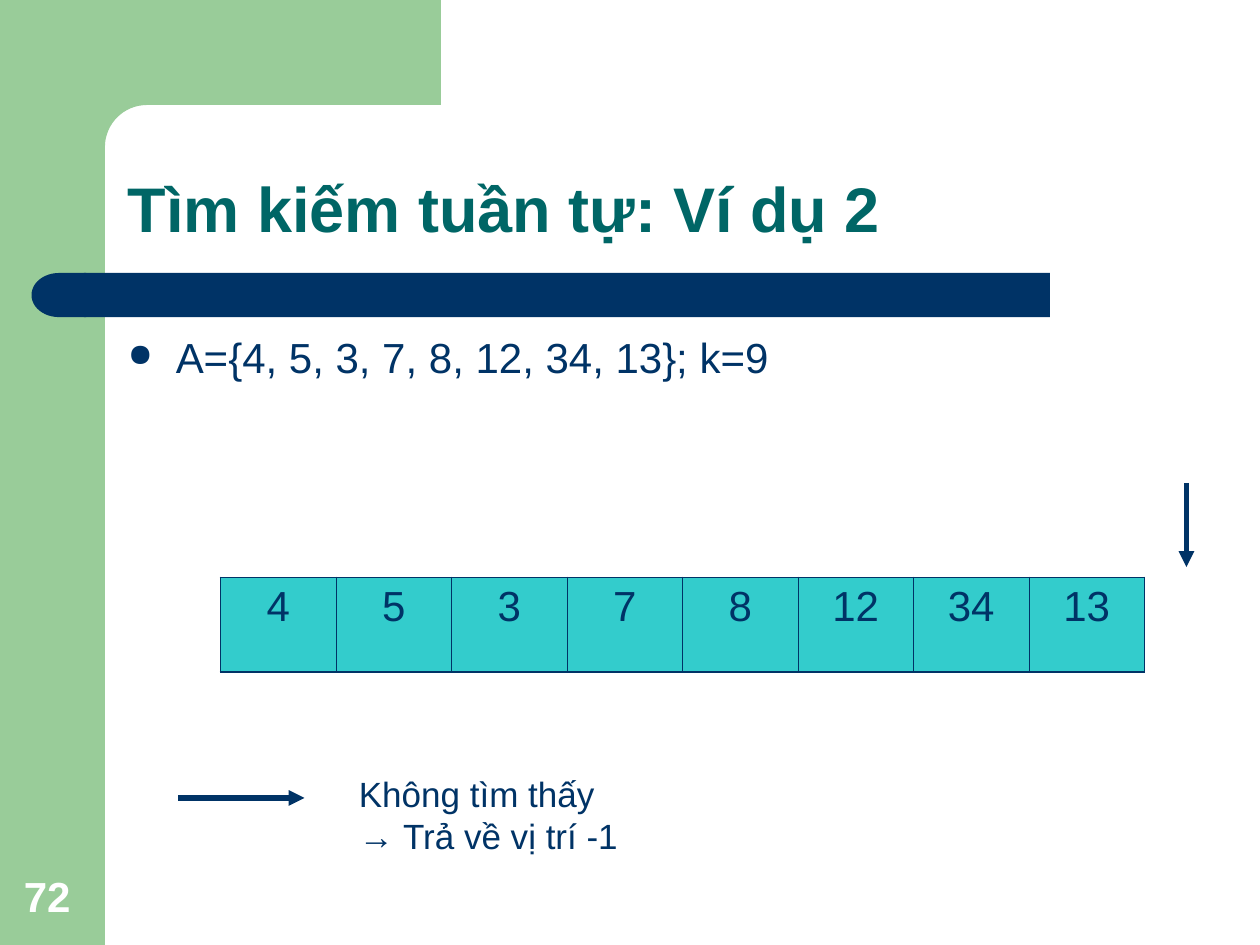
from math import cos, pi, sin

from pptx import Presentation
from pptx.dml.color import RGBColor
from pptx.enum.shapes import MSO_CONNECTOR as CONN, MSO_SHAPE as SHAPE
from pptx.enum.text import MSO_ANCHOR as ANCHOR, PP_ALIGN as ALIGN
from pptx.oxml import parse_xml
from pptx.oxml.ns import nsdecls
from pptx.util import Inches, Pt

GREEN, NAVY, TEAL, CYAN, WHITE = "99CC99", "003366", "006666", "33CCCC", "FFFFFF"
VALUES = [4, 5, 3, 7, 8, 12, 34, 13]


def grid(n):
    """Return the length of n grid units, with 12 units to the inch."""
    return Inches(n / 12)


def rgb(value):
    """Turn a hex string into a colour."""
    return RGBColor.from_string(value)


def xml(tag, attrs="", inner=""):
    """Build one DrawingML element."""
    return parse_xml(f"<a:{tag} {nsdecls('a')} {attrs}>{inner}</a:{tag}>")


def paint(sp, color):
    """Give a shape a flat fill without line or shadow."""
    sp.fill.solid()
    sp.fill.fore_color.rgb = rgb(color)
    sp.line.fill.background()
    sp.shadow.inherit = False


def style(p, size, color, bold=False):
    """Format every run of a paragraph."""
    for r in p.runs:
        r.font.name, r.font.size, r.font.bold = "Arial", Pt(size), bold
        r.font.color.rgb = rgb(color)


def add_block(slide, kind, box, color):
    """Add a plain preset shape."""
    sp = slide.shapes.add_shape(kind, *map(grid, box))
    paint(sp, color)
    return sp


def add_corner(slide, color):
    """Add the top band with its rounded inner corner."""
    turns = [pi / 2 * i / 16 for i in range(17)]
    arc = [(14 - 4 * sin(t), 14 - 4 * cos(t)) for t in turns]
    points = [(42, 0), (42, 10), *arc, (10, 15.3), (6, 15.3), (6, 0)]
    points = [(grid(x), grid(y)) for x, y in points]
    builder = slide.shapes.build_freeform(*points[0])
    builder.add_line_segments(points[1:], close=True)
    paint(builder.convert_to_shape(), color)


def add_text(slide, box, text, size, color, bold=False, anchor=ANCHOR.TOP):
    """Add a wrapped text box and return its paragraph."""
    tf = slide.shapes.add_textbox(*map(grid, box)).text_frame
    tf.word_wrap = True
    tf.vertical_anchor = anchor
    p = tf.paragraphs[0]
    p.text = text
    style(p, size, color, bold)
    return p


def add_bullet(p, color):
    """Give a paragraph a hanging round bullet."""
    pPr = p._p.get_or_add_pPr()
    pPr.set("marL", str(Inches(0.38)))
    pPr.set("indent", str(Inches(-0.38)))
    pPr.append(xml("buClr", inner=f'<a:srgbClr val="{color}"/>'))
    pPr.append(xml("buSzPct", 'val="75000"'))
    pPr.append(xml("buChar", 'char="●"'))


def add_arrow(slide, start, end):
    """Add a straight arrow between two grid points."""
    line = slide.shapes.add_connector(CONN.STRAIGHT, *map(grid, (*start, *end)))
    line.line.color.rgb = rgb(NAVY)
    line.line.width = Pt(3)
    line.line._get_or_add_ln().append(xml("tailEnd", 'type="triangle"'))
    line._element.spPr.append(xml("effectLst"))


def add_border(cell, side, width):
    """Draw one side of a table cell."""
    color = f'<a:solidFill><a:srgbClr val="{NAVY}"/></a:solidFill>'
    cell._tc.get_or_add_tcPr().append(xml(f"ln{side}", f'w="{Pt(width)}"', color))


def add_array(slide, box, values):
    """Show the values as a table of one row."""
    frame = slide.shapes.add_table(1, len(values), *map(grid, box))
    table = frame.table
    table.first_row = table.horz_banding = False
    for i, value in enumerate(values):
        cell = table.cell(0, i)
        add_border(cell, "L", 1.08 if i == 0 else 0.45)
        add_border(cell, "R", 1.08 if i == len(values) - 1 else 0.45)
        add_border(cell, "T", 1.08)
        add_border(cell, "B", 1.08)
        cell.fill.solid()
        cell.fill.fore_color.rgb = rgb(CYAN)
        p = cell.text_frame.paragraphs[0]
        p.text = str(value)
        p.alignment = ALIGN.CENTER
        style(p, 24, NAVY)


def main():
    """Build the slide."""
    prs = Presentation()
    prs.slide_width, prs.slide_height = grid(120), grid(90)
    slide = prs.slides.add_slide(prs.slide_layouts[6])

    add_block(slide, SHAPE.RECTANGLE, (0, 0, 10, 90), GREEN)
    add_corner(slide, GREEN)
    add_block(slide, SHAPE.RECTANGLE, (8, 26, 92, 4.2), NAVY)
    cap = add_block(slide, SHAPE.FLOWCHART_DELAY, (3, 26, 5.2, 4.2), NAVY)
    cap._element.spPr.get_or_add_xfrm().set("flipH", "1")

    add_text(slide, (1.1, 82, 7.7, 6.3), "72", 24, WHITE, True, ANCHOR.BOTTOM)
    title = add_text(slide, (11, 11, 102, 13), "Tìm kiếm tuần tự: Ví dụ 2",
                     36, TEAL, True, ANCHOR.BOTTOM)
    title.line_spacing = 0.9
    body = add_text(slide, (11, 31, 105, 9),
                    "A={4, 5, 3, 7, 8, 12, 34, 13}; k=9", 24, NAVY)
    add_bullet(body, NAVY)

    add_array(slide, (21, 55, 88, 9), VALUES)
    add_arrow(slide, (113, 46), (113, 54))
    add_arrow(slide, (17, 76), (29, 76))
    add_text(slide, (33, 73, 29, 9.2),
             "Không tìm thấy\v→ Trả về vị trí -1", 20, NAVY)
    prs.save("out.pptx")


if __name__ == "__main__":
    main()
